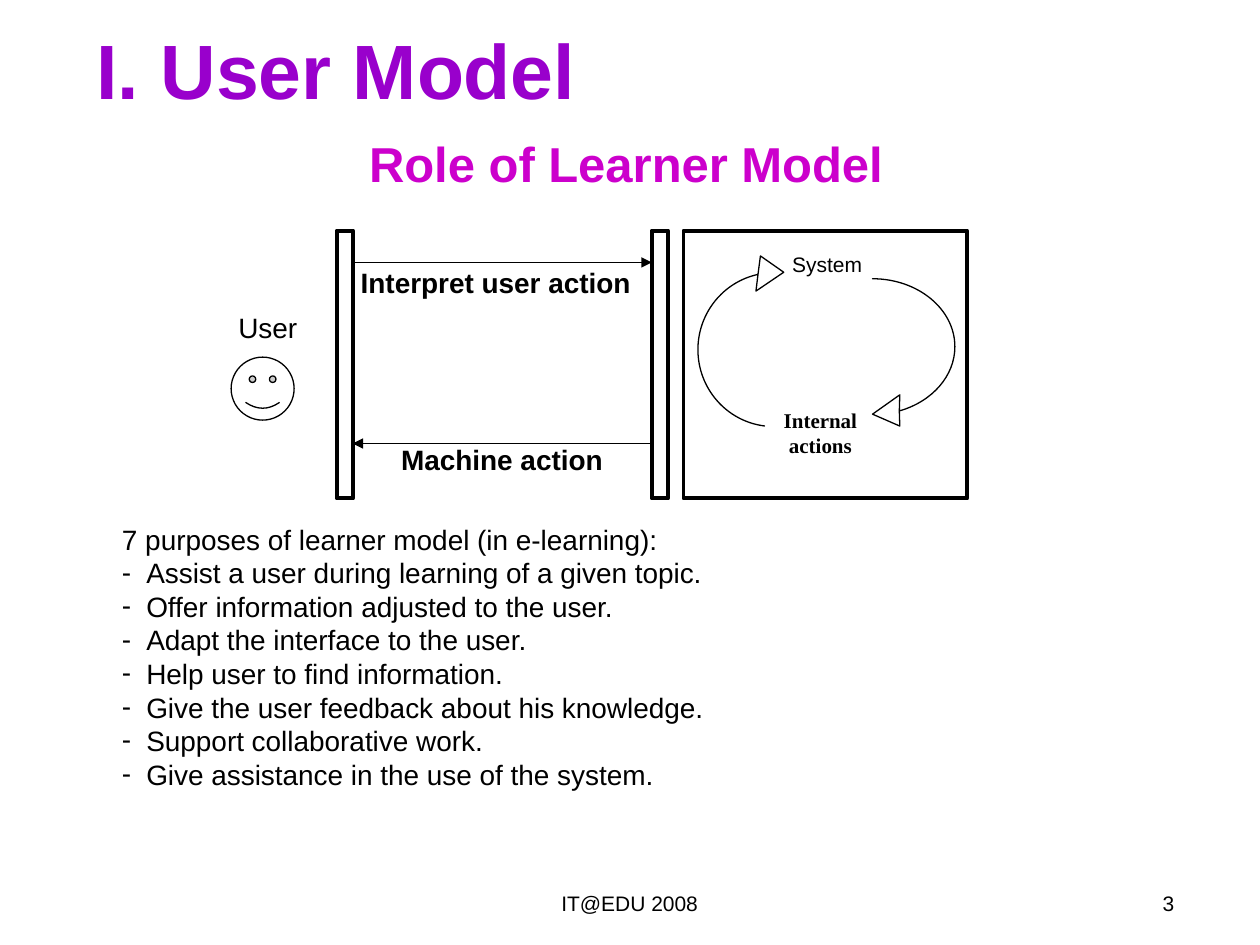
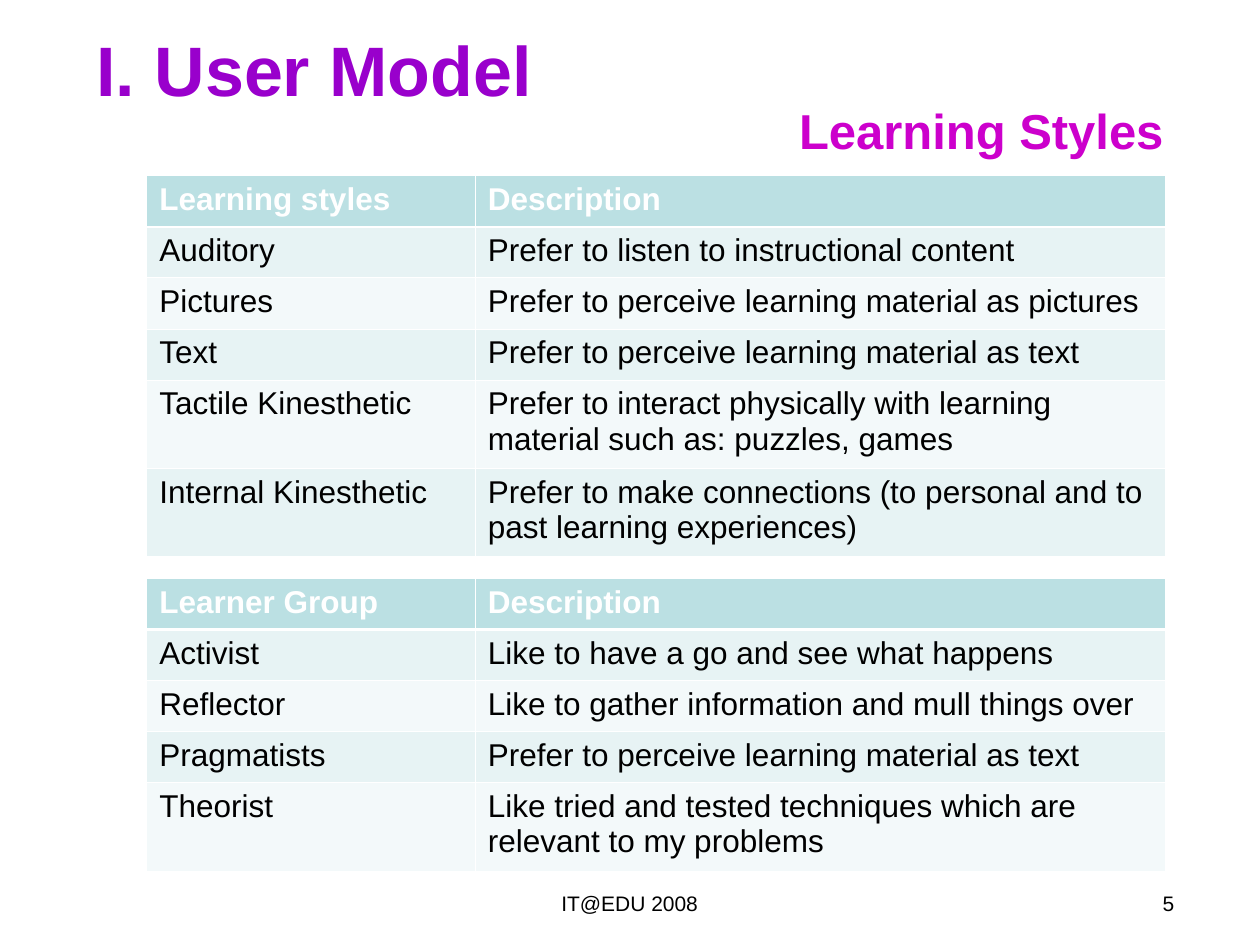
from math import cos, radians, sin, tan

from lxml.etree import SubElement
from pptx import Presentation
from pptx.dml.color import RGBColor
from pptx.enum.shapes import MSO_CONNECTOR as Connector, MSO_SHAPE as Preset
from pptx.enum.text import MSO_ANCHOR as Anchor, MSO_AUTO_SIZE as AutoSize, PP_ALIGN as Align
from pptx.oxml.ns import qn
from pptx.util import Cm, Pt

BLACK = "000000"
WHITE = "FFFFFF"
TITLE_COLOR = "9900CC"
SUBTITLE_COLOR = "CC00CC"
HEADER_FILL = "BBE0E3"
BAND_FILLS = ("E7F3F4", "F3F9FA")

FOOTER_TEXT = "IT@EDU 2008"
COLUMN_WIDTHS = (6.62, 13.92)
LINE_ROW, WRAPPED_ROW = 1.03, 1.78
CHARACTERS_PER_LINE = 50
DASH_INDENT = Cm(0.49)

PURPOSES = (
    "Assist a user during learning of a given topic.",
    "Offer information adjusted to the user.",
    "Adapt the interface to the user.",
    "Help user to ﬁnd information.",
    "Give the user feedback about his knowledge.",
    "Support collaborative work.",
    "Give assistance in the use of the system.",
)
LEARNING_STYLES = (
    ("Learning styles", "Description"),
    ("Auditory", "Prefer to listen to instructional content"),
    ("Pictures", "Prefer to perceive learning material as pictures"),
    ("Text", "Prefer to perceive learning material as text"),
    ("Tactile Kinesthetic",
     "Prefer to interact physically with learning material such as: puzzles, games"),
    ("Internal Kinesthetic",
     "Prefer to make connections (to personal and to past learning experiences)"),
)
LEARNER_GROUPS = (
    ("Learner Group", "Description"),
    ("Activist", "Like to have a go and see what happens"),
    ("Reflector", "Like to gather information and mull things over"),
    ("Pragmatists", "Prefer to perceive learning material as text"),
    ("Theorist", "Like tried and tested techniques which are relevant to my problems"),
)


def rgb(color):
    return RGBColor.from_string(color)


def add_run(paragraph, text, size, color=BLACK, bold=False, font="Arial"):
    run = paragraph.add_run()
    run.text = text
    run.font.name = font
    run.font.size = Pt(size)
    run.font.bold = bold
    run.font.color.rgb = rgb(color)


def add_text(slide, box, text, size, align=Align.CENTER, **style):
    shape = slide.shapes.add_textbox(*map(Cm, box))
    shape.text_frame.word_wrap = True
    paragraph = shape.text_frame.paragraphs[0]
    paragraph.alignment = align
    add_run(paragraph, text, size, **style)
    return shape


def add_titled_slide(presentation, title_size, subtitle, subtitle_box, number):
    slide = presentation.slides.add_slide(presentation.slide_layouts[5])
    title = slide.shapes.title
    title.left, title.top, title.width, title.height = map(Cm, (1.69, 0.22, 22.66, 2.34))
    title.text_frame.auto_size = AutoSize.NONE
    title.text_frame.vertical_anchor = Anchor.MIDDLE
    paragraph = title.text_frame.paragraphs[0]
    paragraph.alignment = Align.LEFT
    add_run(paragraph, "I. User Model", title_size, TITLE_COLOR, True)
    add_text(slide, subtitle_box, subtitle, 28, Align.LEFT, color=SUBTITLE_COLOR, bold=True)
    add_text(slide, (8.67, 17.83, 8.05, 1.32), FOOTER_TEXT, 12)
    add_text(slide, (18, 17.83, 5.92, 1.32), str(number), 12, Align.RIGHT)
    return slide


def outline(shape, width):
    shape.shadow.inherit = False
    shape.fill.solid()
    shape.fill.fore_color.rgb = rgb(WHITE)
    shape.line.color.rgb = rgb(BLACK)
    shape.line.width = Pt(width)


def add_outlined(slide, preset, box, width):
    outline(slide.shapes.add_shape(preset, *map(Cm, box)), width)


def add_arrow(slide, start_x, end_x, y):
    arrow = slide.shapes.add_connector(
        Connector.STRAIGHT, Cm(start_x), Cm(y), Cm(end_x), Cm(y))
    arrow.line.color.rgb = rgb(BLACK)
    arrow.line.width = Pt(1)
    SubElement(arrow.line._get_or_add_ln(), qn("a:tailEnd"), type="triangle")
    SubElement(arrow._element.spPr, qn("a:effectLst"))


def arc_controls(center, radii, angles):
    def point(angle, pull=0):
        x, y = cos(angle) - pull * sin(angle), sin(angle) + pull * cos(angle)
        return center[0] + radii[0] * x, center[1] + radii[1] * y

    turns = [radians(angle) for angle in angles]
    controls = [point(turns[0])]
    for first, last in zip(turns, turns[1:]):
        pull = 4 / 3 * tan((last - first) / 4)
        controls += [point(first, pull), point(last, -pull), point(last)]
    return controls


def curve_segments(shape, starts):
    lines = list(shape._element.iter(qn("a:lnTo")))
    for start in starts:
        first, *others = lines[start:start + 3]
        first.tag = qn("a:cubicBezTo")
        for line in others:
            first.append(line[0])
            line.getparent().remove(line)


def add_curved_arrow(slide, center, radii, angles, head):
    arc = arc_controls(center, radii, angles)
    points = [(Cm(x), Cm(y)) for x, y in arc + list(head) + arc[::-1]]
    builder = slide.shapes.build_freeform(*points[0], scale=1.0)
    builder.add_line_segments(points[1:], close=True)
    arrow = builder.convert_to_shape()
    back = len(arc) + len(head)
    curve_segments(arrow, (0, 3, back, back + 3))
    outline(arrow, 0.75)


def add_dash(paragraph):
    properties = paragraph._p.get_or_add_pPr()
    properties.set("marL", str(DASH_INDENT))
    properties.set("indent", str(-DASH_INDENT))
    SubElement(properties, qn("a:buFont"), typeface="Arial")
    SubElement(properties, qn("a:buChar"), char="-")


def add_purposes(slide):
    shape = add_text(slide, (2.21, 10.39, 18.97, 5.69),
                     "7 purposes of learner model (in e-learning):", 16, Align.LEFT)
    shape.text_frame.vertical_anchor = Anchor.MIDDLE
    for purpose in PURPOSES:
        paragraph = shape.text_frame.add_paragraph()
        add_dash(paragraph)
        add_run(paragraph, purpose, 16)


def add_border(cell, side, width):
    line = SubElement(cell._tc.get_or_add_tcPr(), qn(f"a:ln{side}"), w=str(Pt(width)))
    fill = SubElement(line, qn("a:solidFill"))
    SubElement(fill, qn("a:srgbClr"), val=WHITE)


def format_cell(cell, text, row_index):
    header = row_index == 0
    widths = {"L": 0.45, "R": 0.45,
              "T": 1.47 if row_index == 1 else 0.45,
              "B": 1.47 if header else 0.45}
    for side, width in widths.items():
        add_border(cell, side, width)
    cell.fill.solid()
    cell.fill.fore_color.rgb = rgb(HEADER_FILL if header else BAND_FILLS[(row_index - 1) % 2])
    add_run(cell.text_frame.paragraphs[0], text, 18, WHITE if header else BLACK, header)


def add_description_table(slide, top, rows):
    heights = [WRAPPED_ROW if len(description) > CHARACTERS_PER_LINE else LINE_ROW
               for _, description in rows]
    table = slide.shapes.add_table(
        len(rows), len(COLUMN_WIDTHS), Cm(2.96), Cm(top),
        Cm(sum(COLUMN_WIDTHS)), Cm(sum(heights))).table
    for column, width in zip(table.columns, COLUMN_WIDTHS):
        column.width = Cm(width)
    for row_index, texts in enumerate(rows):
        table.rows[row_index].height = Cm(heights[row_index])
        for column_index, text in enumerate(texts):
            format_cell(table.cell(row_index, column_index), text, row_index)


def add_interaction_diagram(slide):
    panel_top, panel_height = 4.65, 5.4
    user_side, system_side = 7.11, 13.14
    add_outlined(slide, Preset.SMILEY_FACE, (4.66, 7.2, 1.27, 1.27), 0.75)
    for left, width in ((6.79, 0.33), (system_side, 0.33), (13.78, 5.72)):
        add_outlined(slide, Preset.RECTANGLE, (left, panel_top, width, panel_height), 2.25)
    add_arrow(slide, user_side, system_side, 5.29)
    add_arrow(slide, system_side, user_side, 8.94)
    add_curved_arrow(slide, (17.59, 6.99), (1.66, 1.37), (-90, 0, 71),
                     ((18.14, 7.96), (17.59, 8.35), (18.14, 8.59)))
    add_curved_arrow(slide, (15.6, 7.05), (1.53, 1.55), (97, 180, 258),
                     ((15.33, 5.16), (15.8, 5.49), (15.24, 5.87)))
    add_text(slide, (4.45, 6.13, 1.9, 0.94), "User", 16)
    add_text(slide, (6.97, 5.23, 6.05, 1.27), "Interpret user action", 16, bold=True)
    add_text(slide, (7.11, 8.79, 6.02, 1.8), "Machine action", 16, bold=True)
    add_text(slide, (15.52, 4.95, 2.31, 0.76), "System", 12)
    add_text(slide, (15.27, 8.09, 2.54, 1.3), "Internal actions", 12,
             bold=True, font="Times New Roman")


def main():
    presentation = Presentation()
    presentation.slide_width = Cm(25.4)
    presentation.slide_height = Cm(19.05)

    role_slide = add_titled_slide(
        presentation, 44, "Role of Learner Model", (7.19, 2.57, 11.23, 1.45), 3)
    add_interaction_diagram(role_slide)
    add_purposes(role_slide)

    styles_slide = add_titled_slide(
        presentation, 40, "Learning Styles", (15.86, 1.91, 8.04, 1.45), 5)
    add_description_table(styles_slide, 3.54, LEARNING_STYLES)
    add_description_table(styles_slide, 11.66, LEARNER_GROUPS)

    presentation.save("out.pptx")


if __name__ == "__main__":
    main()
